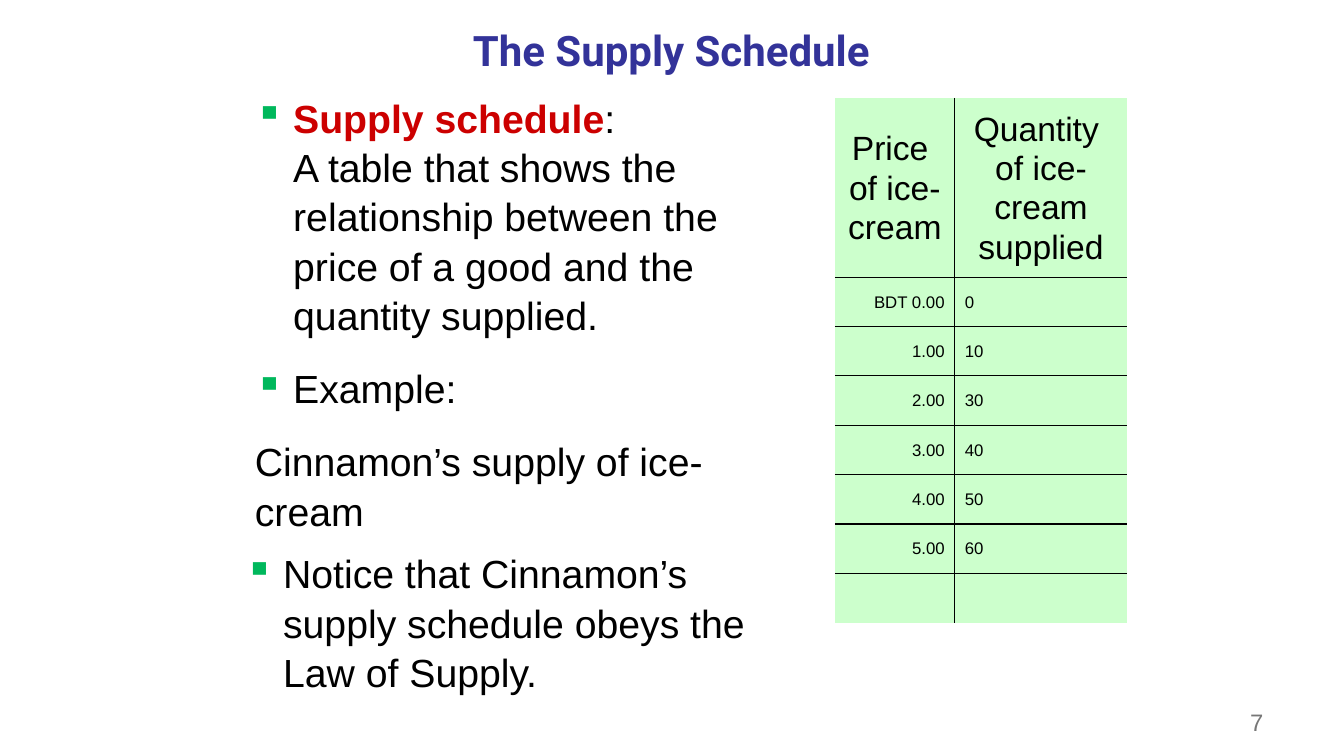
from dataclasses import dataclass

from lxml import etree
from pptx import Presentation
from pptx.dml.color import RGBColor
from pptx.enum.text import MSO_ANCHOR, PP_ALIGN
from pptx.oxml.ns import qn
from pptx.util import Inches, Pt

LEFT, CENTER, RIGHT = PP_ALIGN.LEFT, PP_ALIGN.CENTER, PP_ALIGN.RIGHT
TOP, MIDDLE = MSO_ANCHOR.TOP, MSO_ANCHOR.MIDDLE


@dataclass(frozen=True)
class Theme:
    title_font: str = "Roboto"
    body_font: str = "Arial"
    title_color: str = "333399"
    term_color: str = "CC0000"
    text_color: str = "000000"
    number_color: str = "777777"
    bullet_color: str = "00B85C"
    cell_color: str = "CCFFCC"
    title_size: float = 30
    body_size: float = 28
    header_size: float = 24
    number_size: float = 17
    value_size: float = 12
    line_spacing: float = 1.05
    paragraph_gap: float = 16.8
    bullet_indent: float = 0.38
    border_width: float = 1


class SlideBuilder:
    def __init__(self, page, theme):
        self.page = page
        self.theme = theme

    def style_span(self, span, size, color, font=None, bold=False):
        span.font.name = font or self.theme.body_font
        span.font.size = Pt(size)
        span.font.bold = bold
        span.font.color.rgb = RGBColor.from_string(color)

    def text_box(self, left, top, width, height, anchor=TOP):
        box = self.page.shapes.add_textbox(
            Inches(left), Inches(top), Inches(width), Inches(height))
        frame = box.text_frame
        frame.word_wrap = True
        frame.vertical_anchor = anchor
        return frame

    def label(self, frame, text, size, color, font=None, bold=False, align=LEFT):
        frame.text = text
        para = frame.paragraphs[0]
        para.alignment = align
        self.style_span(para.runs[0], size, color, font, bold)

    def bullet(self, para):
        properties = para._p.get_or_add_pPr()
        indent = Inches(self.theme.bullet_indent)
        properties.set("marL", str(indent))
        properties.set("indent", str(-indent))
        color = etree.SubElement(properties, qn("a:buClr"))
        etree.SubElement(color, qn("a:srgbClr"), val=self.theme.bullet_color)
        etree.SubElement(properties, qn("a:buChar"), char="▪")

    def body(self, frame, items):
        """Fill a frame from (text, bulleted) pairs."""
        theme = self.theme
        for index, (text, bulleted) in enumerate(items):
            para = frame.add_paragraph() if index else frame.paragraphs[0]
            para.text = text
            para.line_spacing = theme.line_spacing
            if index:
                para.space_before = Pt(theme.paragraph_gap)
            if bulleted:
                self.bullet(para)
            for span in para.runs:
                self.style_span(span, theme.body_size, theme.text_color)

    def define_term(self, para, term, definition):
        """Start a paragraph with a bold term, its definition on the next line."""
        theme = self.theme
        para.runs[0].text = term
        self.style_span(para.runs[0], theme.body_size, theme.term_color, bold=True)
        self.style_span(para.add_run(), theme.body_size, theme.text_color)
        para.runs[1].text = ":"
        para.add_line_break()
        span = para.add_run()
        span.text = definition
        self.style_span(span, theme.body_size, theme.text_color)

    def cell_borders(self, cell, inner_sides):
        """Draw the sides inside the grid and clear the outer ones."""
        properties = cell._tc.get_or_add_tcPr()
        for side in "LRTB":
            line = etree.SubElement(properties, qn(f"a:ln{side}"),
                                    w=str(Pt(self.theme.border_width)))
            if side in inner_sides:
                fill = etree.SubElement(line, qn("a:solidFill"))
                etree.SubElement(fill, qn("a:srgbClr"), val=self.theme.text_color)
            else:
                etree.SubElement(line, qn("a:noFill"))

    def table(self, left, top, widths, heights, rows):
        theme = self.theme
        table = self.page.shapes.add_table(
            len(rows), len(widths), Inches(left), Inches(top),
            Inches(sum(widths)), Inches(sum(heights))).table
        table.first_row = table.horz_banding = False
        for column, width in zip(table.columns, widths):
            column.width = Inches(width)
        for row, height in zip(table.rows, heights):
            row.height = Inches(height)
        for r, values in enumerate(rows):
            size = theme.value_size if r else theme.header_size
            for c, value in enumerate(values):
                cell = table.cell(r, c)
                sides = "L" if c else "R"
                sides += "T" if r else ""
                sides += "B" if r < len(rows) - 1 else ""
                self.cell_borders(cell, sides)
                cell.fill.solid()
                cell.fill.fore_color.rgb = RGBColor.from_string(theme.cell_color)
                cell.vertical_anchor = MIDDLE
                para = cell.text_frame.paragraphs[0]
                para.text = value
                para.alignment = (LEFT if c else RIGHT) if r else CENTER
                para.line_spacing = theme.line_spacing
                for span in para.runs:
                    self.style_span(span, size, theme.text_color)


def main():
    deck = Presentation()
    deck.slide_width, deck.slide_height = Inches(13.33), Inches(7.5)
    theme = Theme()
    builder = SlideBuilder(deck.slides.add_slide(deck.slide_layouts[6]), theme)

    builder.label(builder.text_box(12.3, 6.96, 0.89, 0.41, MIDDLE), "7",
                  theme.number_size, theme.number_color)
    builder.label(builder.text_box(1.91, 0, 9.5, 0.99, MIDDLE),
                  "The Supply Schedule", theme.title_size, theme.title_color,
                  theme.title_font, bold=True, align=CENTER)

    definition = builder.text_box(2.43, 0.86, 5.52, 3.86)
    builder.body(definition, [
        ("Supply schedule", True),
        ("Example:", True),
        ("Cinnamon’s supply of ice-cream", False),
    ])
    builder.define_term(
        definition.paragraphs[0], "Supply schedule",
        "A table that shows the relationship between the price of a good "
        "and the quantity supplied.")
    builder.body(builder.text_box(2.33, 5.38, 5.29, 1.7), [
        ("Notice that Cinnamon’s supply schedule obeys the \nLaw of Supply.", True),
    ])

    quantities = [0, 10, 30, 40, 50, 60]
    schedule = [(f"{price:.2f}" if price else "BDT 0.00", str(quantity))
                for price, quantity in enumerate(quantities)]
    header = ("Price \nof ice-cream", "Quantity \nof ice-cream supplied")
    rows = [header, *schedule, ("", "")]
    builder.table(8.28, 0.97, [1.19, 1.71], [0.56] + [0.49] * (len(rows) - 1), rows)

    deck.save("out.pptx")


if __name__ == "__main__":
    main()
